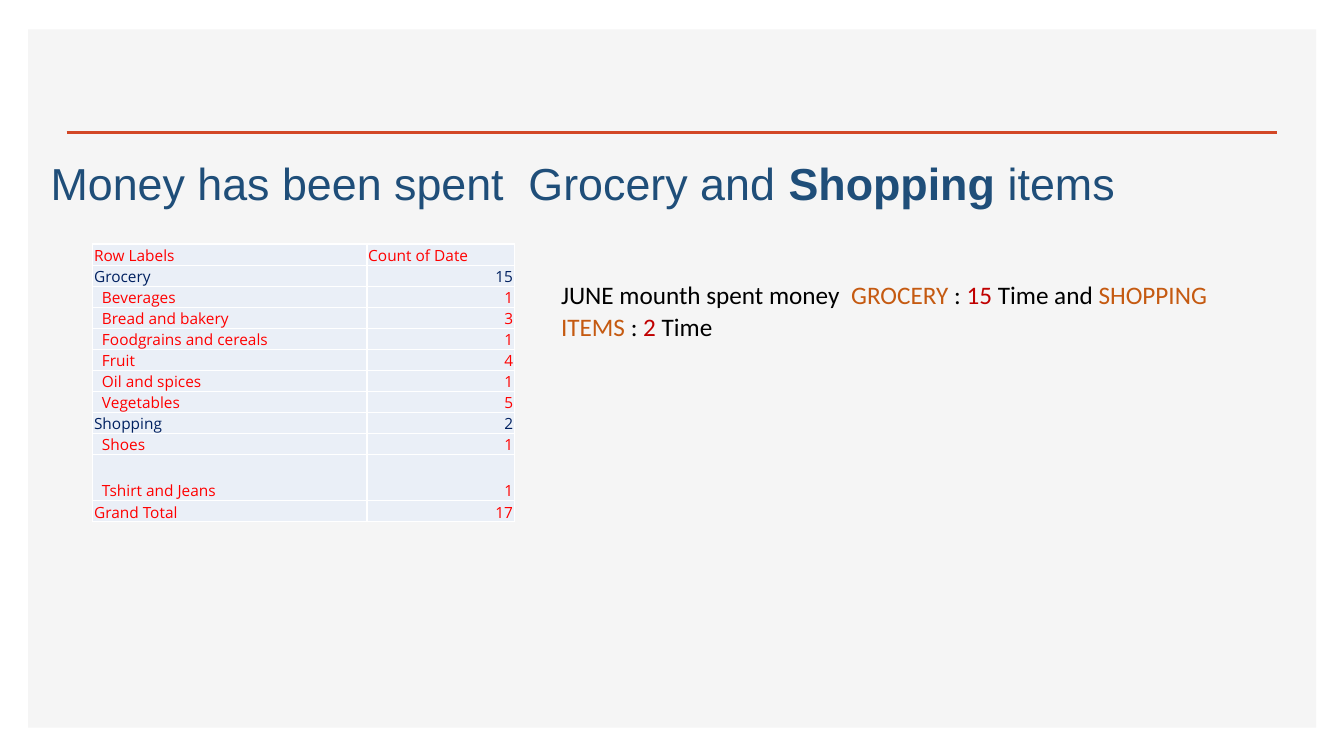
"""Builds a slide on June grocery and shopping spending with a count table."""
from lxml.etree import SubElement
from pptx import Presentation
from pptx.dml.color import RGBColor
from pptx.enum.shapes import MSO_CONNECTOR, MSO_SHAPE
from pptx.enum.text import MSO_ANCHOR, MSO_AUTO_SIZE, PP_ALIGN
from pptx.oxml.ns import qn
from pptx.util import Cm, Pt

WHITE = RGBColor(0xFF, 0xFF, 0xFF)
BLACK = RGBColor(0x00, 0x00, 0x00)
PANEL_GREY = RGBColor(0xF5, 0xF5, 0xF5)
RULE_ORANGE = RGBColor(0xD2, 0x47, 0x26)
TITLE_BLUE = RGBColor(0x1F, 0x4E, 0x79)
CELL_BLUE = RGBColor(0xEA, 0xEF, 0xF7)
NAVY = RGBColor(0x00, 0x20, 0x60)
RED = RGBColor(0xFF, 0x00, 0x00)
DARK_RED = RGBColor(0xC0, 0x00, 0x00)
ORANGE = RGBColor(0xC5, 0x5A, 0x11)


def fill_text(frame, pieces, font_name, size):
    """Write (text, colour, bold) pieces as one paragraph."""
    frame.word_wrap = True
    frame.auto_size = MSO_AUTO_SIZE.SHAPE_TO_FIT_TEXT
    frame.vertical_anchor = MSO_ANCHOR.TOP
    para = frame.paragraphs[0]
    para.alignment = PP_ALIGN.LEFT
    para.line_spacing = 1.07
    para.space_before = Pt(0)
    para.space_after = Pt(8)
    for text, colour, bold in pieces:
        span = para.add_run()
        span.text = text
        span.font.name = font_name
        span.font.size = Pt(size)
        span.font.bold = bold
        span.font.color.rgb = colour


def add_borders(cell):
    """Give a cell thin white borders, placed before its fill."""
    props = cell._tc.get_or_add_tcPr()
    for index, side in enumerate(("lnL", "lnR", "lnT", "lnB")):
        line = SubElement(props, qn(f"a:{side}"), w=str(Pt(1)))
        solid = SubElement(line, qn("a:solidFill"))
        SubElement(solid, qn("a:srgbClr"), val=str(WHITE))
        props.insert(index, line)


deck = Presentation()
deck.slide_width = Cm(33.87)
deck.slide_height = Cm(19.05)
page = deck.slides.add_slide(deck.slide_layouts[5])

title = page.shapes.title
title.left, title.top, title.width, title.height = Cm(1.02), Cm(3.71), Cm(31.04), Cm(1.6)
fill_text(title.text_frame, [
    ("Money has been spent  Grocery and ", TITLE_BLUE, False),
    ("Shopping", TITLE_BLUE, True),
    (" items", TITLE_BLUE, False),
], "Arial", 32)

panel = page.shapes.add_shape(MSO_SHAPE.RECTANGLE, Cm(0.71), Cm(0.74), Cm(32.46), Cm(17.6))
panel.shadow.inherit = False
panel.fill.solid()
panel.fill.fore_color.rgb = PANEL_GREY
panel.line.fill.background()
title.element.addprevious(panel.element)

rule = page.shapes.add_connector(MSO_CONNECTOR.STRAIGHT, Cm(1.68), Cm(3.33), Cm(32.18), Cm(3.33))
rule.line.color.rgb = RULE_ORANGE
rule.line.width = Pt(2)
SubElement(rule.element.spPr, qn("a:effectLst"))

rows = [
    ("Row Labels", "Count of Date", "total"),
    ("Grocery", "15", "group"),
    ("Beverages", "1", "item"),
    ("Bread and bakery", "3", "item"),
    ("Foodgrains and cereals", "1", "item"),
    ("Fruit", "4", "item"),
    ("Oil and spices", "1", "item"),
    ("Vegetables", "5", "item"),
    ("Shopping", "2", "group"),
    ("Shoes", "1", "item"),
    ("Tshirt and Jeans", "1", "item"),
    ("Grand Total", "17", "total"),
]
counts = page.shapes.add_table(len(rows), 2, Cm(2.34), Cm(6.15), Cm(10.62), Cm(7.01)).table
counts.columns[0].width = Cm(6.91)
counts.columns[1].width = Cm(3.71)

for row_index, (label, count, level) in enumerate(rows):
    counts.rows[row_index].height = Cm(1.17 if label == "Tshirt and Jeans" else 0.53)
    for column_index, text in enumerate((label, count)):
        cell = counts.cell(row_index, column_index)
        cell.fill.solid()
        cell.fill.fore_color.rgb = CELL_BLUE
        add_borders(cell)
        cell.vertical_anchor = MSO_ANCHOR.BOTTOM
        indented = level == "item" and column_index == 0
        cell.margin_left = Cm(0.23 if indented else 0.03)
        cell.margin_top = cell.margin_right = Cm(0.03)
        cell.margin_bottom = Cm(0)
        cell.text_frame.text = text
        para = cell.text_frame.paragraphs[0]
        para.alignment = PP_ALIGN.RIGHT if text.isdigit() else PP_ALIGN.LEFT
        font = para.runs[0].font
        font.name = "Open Sans"
        font.size = Pt(11)
        font.bold = False
        font.color.rgb = NAVY if level == "group" else RED

summary = page.shapes.add_textbox(Cm(13.89), Cm(6.86), Cm(16.94), Cm(1.91))
fill_text(summary.text_frame, [
    ("JUNE mounth spent money  ", BLACK, False),
    ("GROCERY ", ORANGE, False),
    (":", BLACK, False),
    (" 15 ", DARK_RED, False),
    ("Time and ", BLACK, False),
    ("SHOPPING ITEMS", ORANGE, False),
    (" : ", BLACK, False),
    ("2 ", DARK_RED, False),
    ("Time", BLACK, False),
], "Calibri", 18)

deck.save("out.pptx")
